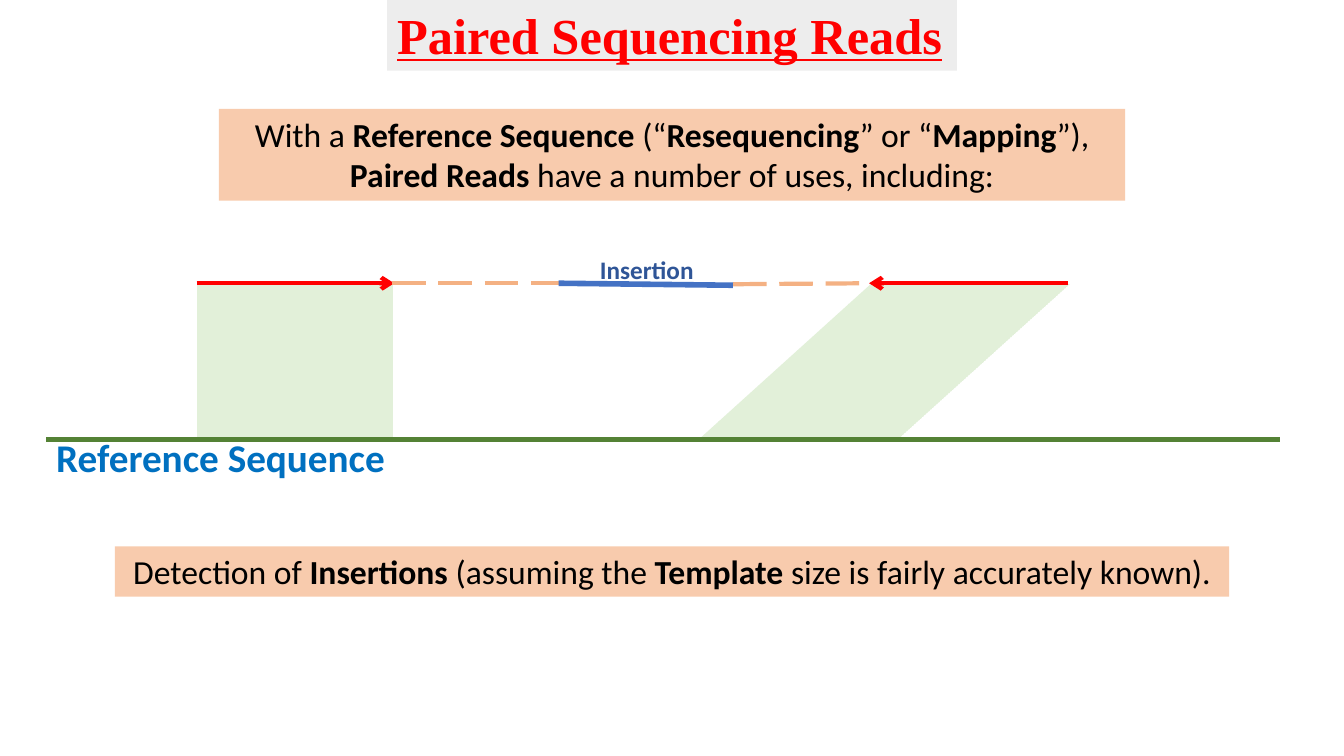
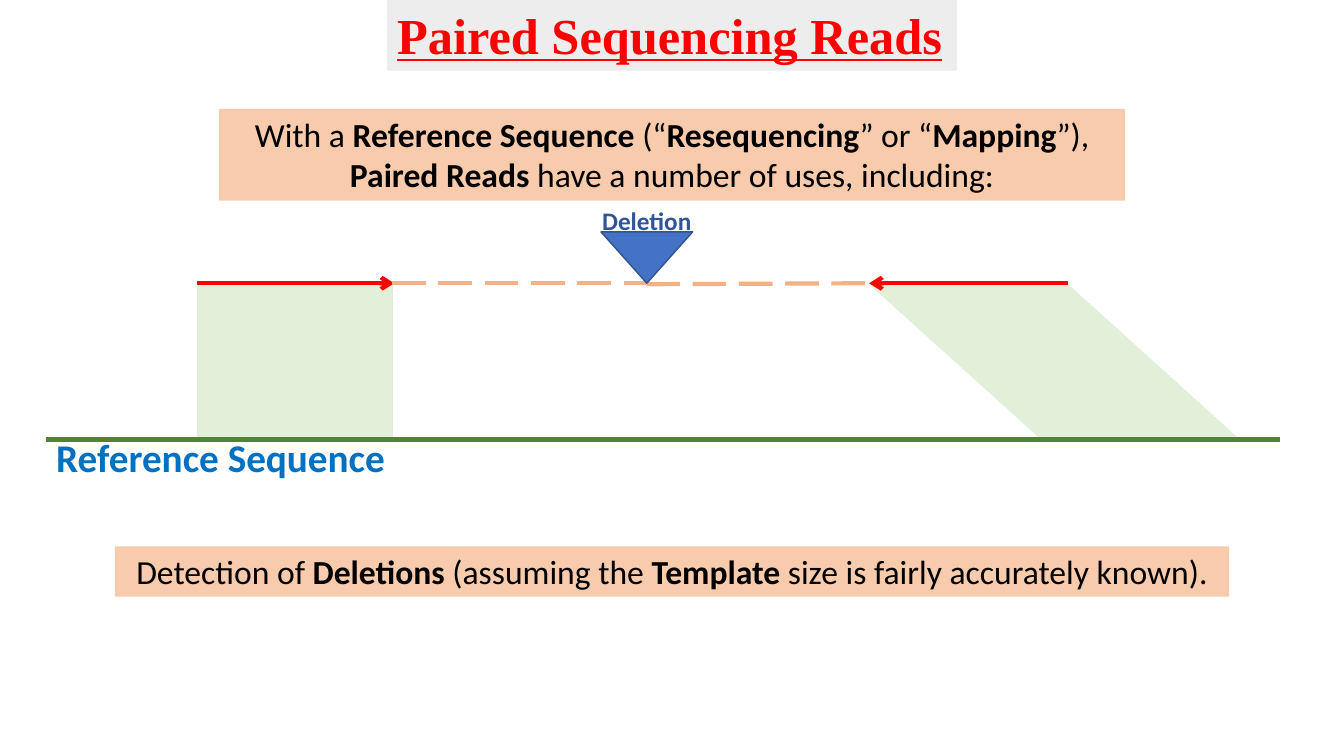
"""Build two slides on detecting insertions and deletions with paired reads."""
from lxml import etree
from pptx import Presentation
from pptx import util as u
from pptx.dml.color import RGBColor
from pptx.enum import dml, shapes, text
from pptx.oxml.ns import qn

THEME = {
    "colours": {
        "band": "F8CBAD", "title_band": "EDEDED", "match": "E2F0D9", "paper": "FFFFFF",
        "reference": "548235", "read": "FF0000", "gap": "F4B183",
        "variant": "4472C4", "variant_edge": "325491",
    },
    "text": {
        "title": {"name": "Times New Roman", "size": u.Pt(36), "colour": "FF0000",
                  "bold": True, "underline": True, "align": "LEFT", "wrap": False},
        "body": {"name": "Calibri", "size": u.Pt(24), "colour": "000000",
                 "bold": False, "underline": False, "align": "CENTER", "wrap": True},
        "reference": {"name": "Calibri", "size": u.Pt(28), "colour": "0070C0",
                      "bold": True, "underline": False, "align": "LEFT", "wrap": True},
        "variant": {"name": "Calibri", "size": u.Pt(18), "colour": "2F5597",
                    "bold": True, "underline": False, "align": "CENTER", "wrap": True},
    },
}
COLOURS = {name: RGBColor.from_string(value) for name, value in THEME["colours"].items()}
READ_Y = 2.81
REFERENCE_Y = 4.36


def add_text(page, place, style_name, lines, band=None):
    style = THEME["text"][style_name]
    box = page.shapes.add_textbox(*map(u.Inches, place))
    if band:
        box.fill.solid()
        box.fill.fore_color.rgb = COLOURS[band]
    frame = box.text_frame
    frame.word_wrap = style["wrap"]
    for number, line in enumerate(lines):
        para = frame.add_paragraph() if number else frame.paragraphs[0]
        para.alignment = getattr(text.PP_ALIGN, style["align"])
        for position, piece in enumerate(line.split("*")):
            if not piece:
                continue
            span = para.add_run()
            span.text = piece
            for key in ("name", "size", "bold", "underline"):
                setattr(span.font, key, style[key])
            span.font.color.rgb = RGBColor.from_string(style["colour"])
            if position % 2:
                span.font.bold = True


def add_line(page, start, end, colour, width=3, dashed=False, arrow=False):
    line = page.shapes.add_connector(
        shapes.MSO_CONNECTOR.STRAIGHT, *map(u.Inches, (*start, *end)))
    line.line.color.rgb = COLOURS[colour]
    line.line.width = u.Pt(width)
    if dashed:
        line.line.dash_style = dml.MSO_LINE.LONG_DASH
    if arrow:
        etree.SubElement(line.line._get_or_add_ln(), qn("a:tailEnd"), type="arrow")
    etree.SubElement(line._element.spPr, qn("a:effectLst"))


deck = Presentation()
deck.slide_width, deck.slide_height = u.Inches(13.33), u.Inches(7.5)

VARIANTS = [
    {"name": "Insertion", "match_left": 6.93, "flip": False, "label_top": 2.47,
     "gaps": [((3.89, READ_Y), (5.56, READ_Y)), ((7.27, 2.82), (8.62, READ_Y))]},
    {"name": "Deletion", "match_left": 8.62, "flip": True, "label_top": 1.99,
     "gaps": [((3.89, READ_Y), (6.41, READ_Y)), ((6.41, 2.82), (8.62, READ_Y))]},
]

for variant in VARIANTS:
    page = deck.slides.add_slide(deck.slide_layouts[6])

    first_match = page.shapes.add_shape(
        shapes.MSO_SHAPE.RECTANGLE, *map(u.Inches, (1.95, READ_Y, 1.94, 1.56)))
    second_match = page.shapes.add_shape(
        shapes.MSO_SHAPE.PARALLELOGRAM,
        *map(u.Inches, (variant["match_left"], 2.82, 3.68, 1.54)))
    second_match.adjustments[0] = 1.107
    if variant["flip"]:
        second_match._element.spPr.get_or_add_xfrm().set("flipH", "1")
    for match in (first_match, second_match):
        match.shadow.inherit = False
        match.fill.patterned()
        match.fill.pattern = dml.MSO_PATTERN.DARK_VERTICAL
        match.fill.fore_color.rgb = COLOURS["match"]
        match.fill.back_color.rgb = COLOURS["paper"]
        match.line.fill.background()

    add_text(page, (3.84, -0.01, 5.65, 0.71), "title", ["Paired Sequencing Reads"], "title_band")
    add_text(page, (2.17, 1.08, 8.99, 0.91), "body", [
        "With a *Reference Sequence *(“*Resequencing*” or “*Mapping*”),",
        "*Paired Reads* have a number of uses, including:",
    ], "band")
    add_line(page, (0.46, REFERENCE_Y), (12.7, REFERENCE_Y), "reference")
    add_text(page, (0.46, 4.25, 12.24, 0.57), "reference", ["Reference Sequence"])
    add_text(page, (1.14, 5.42, 11.05, 0.5), "body", [
        f"Detection of *{variant['name']}s* (assuming the *Template* size is fairly accurately known).",
    ], "band")

    for start, end in ((1.95, 3.91), (10.59, 8.62)):
        add_line(page, (start, READ_Y), (end, READ_Y), "read", arrow=True)
    for start, end in variant["gaps"]:
        add_line(page, start, end, "gap", dashed=True)
    add_text(page, (5.56, variant["label_top"], 1.71, 0.4), "variant", [variant["name"]])

    if variant["name"] == "Insertion":
        add_line(page, (5.54, READ_Y), (7.27, 2.83), "variant", width=4)
    else:
        marker = page.shapes.add_shape(
            shapes.MSO_SHAPE.ISOSCELES_TRIANGLE, *map(u.Inches, (5.96, 2.3, 0.91, 0.51)))
        marker.rotation = 180
        marker.shadow.inherit = False
        marker.fill.solid()
        marker.fill.fore_color.rgb = COLOURS["variant"]
        marker.line.color.rgb = COLOURS["variant_edge"]
        marker.line.width = u.Pt(1)

deck.save("out.pptx")
